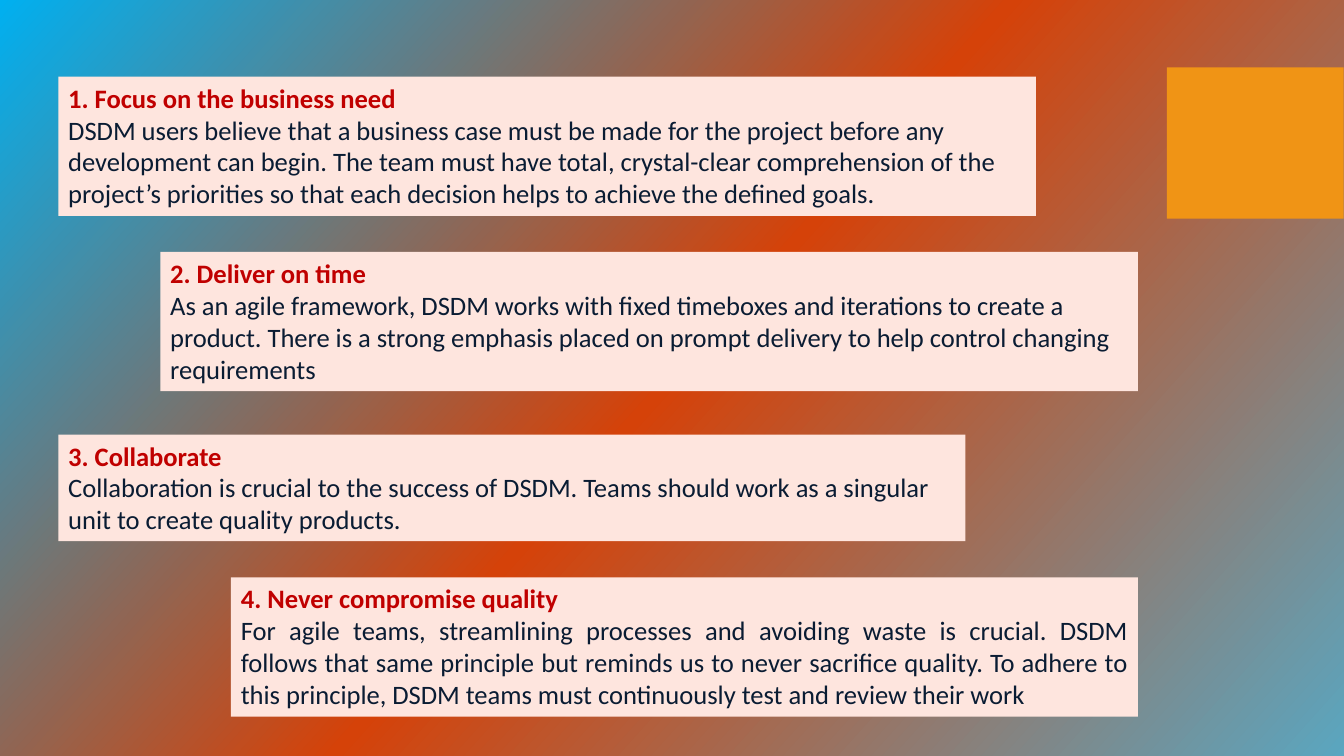
from copy import deepcopy

from pptx import Presentation
from pptx.dml.color import RGBColor
from pptx.enum.shapes import MSO_SHAPE
from pptx.enum.text import MSO_ANCHOR, MSO_AUTO_SIZE, PP_ALIGN
from pptx.util import Cm, Pt

RECTANGLE = MSO_SHAPE.RECTANGLE
TOP = MSO_ANCHOR.TOP
GROW = MSO_AUTO_SIZE.SHAPE_TO_FIT_TEXT
LEFT, JUSTIFY = PP_ALIGN.LEFT, PP_ALIGN.JUSTIFY

BACKGROUND = [(0, "00B0F0"), (0.5, "D54209"), (1, "5AA6C0")]
ACCENT, PANEL, HEADING, BODY = "F09415", "FEE5DE", "C00000", "0A1C33"
LEFT_EDGE, RIGHT_EDGE = 1.47, 28.68
FRAME_FORMAT = {"word_wrap": True, "auto_size": GROW, "vertical_anchor": TOP}
FONT_FORMAT = {"name": "Calibri", "size": Pt(19)}

PRINCIPLES = [
    {"heading": "1. Focus on the business need",
     "body": "DSDM users believe that a business case must be made for the project "
             "before any development can begin. The team must have total, crystal-clear "
             "comprehension of the project’s priorities so that each decision helps to "
             "achieve the defined goals.",
     "top": 1.93, "width": 24.64, "height": 3.51, "align": LEFT},
    {"heading": "2. Deliver on time",
     "body": "As an agile framework, DSDM works with fixed timeboxes and iterations to "
             "create a product. There is a strong emphasis placed on prompt delivery to "
             "help control changing requirements",
     "top": 6.35, "width": 24.64, "height": 3.51, "align": LEFT},
    {"heading": "3. Collaborate",
     "body": "Collaboration is crucial to the success of DSDM. Teams should work as a "
             "singular unit to create quality products.",
     "top": 10.95, "width": 22.86, "height": 2.69, "align": LEFT},
    {"heading": "4. Never compromise quality",
     "body": "For agile teams, streamlining processes and avoiding waste is crucial. DSDM "
             "follows that same principle but reminds us to never sacrifice quality. To "
             "adhere to this principle, DSDM teams must continuously test and review "
             "their work",
     "top": 14.55, "width": 22.86, "height": 3.51, "align": JUSTIFY},
]


def color(value):
    """Return the colour for a hex string."""
    return RGBColor.from_string(value)


def apply_format(target, values):
    """Set each attribute named in values on target."""
    for name, value in values.items():
        setattr(target, name, value)


def paint_background(page):
    """Fill the page with the three-stop diagonal gradient."""
    fill = page.background.fill
    fill.gradient()
    fill.gradient_angle = 360 - 42
    stop_list = page.element.xpath(".//p:bg//a:gsLst")[0]
    stop_list.insert(1, deepcopy(stop_list[0]))
    for stop, (position, value) in zip(fill.gradient_stops, BACKGROUND):
        stop.position = position
        stop.color.rgb = color(value)


def add_block(page, left, top, width, height, fill):
    """Add a plain filled rectangle, measured in centimetres."""
    box = page.shapes.add_shape(RECTANGLE, Cm(left), Cm(top), Cm(width), Cm(height))
    box.shadow.inherit = False
    box.fill.solid()
    box.fill.fore_color.rgb = color(fill)
    box.line.fill.background()
    return box


def write_paragraph(para, text, value, bold, align):
    """Write one formatted span into a paragraph."""
    para.alignment = align
    span = para.add_run()
    span.text = text
    apply_format(span.font, {**FONT_FORMAT, "bold": bold})
    span.font.color.rgb = color(value)


def add_principle(page, left, principle):
    """Add a panel with a heading and its explanation."""
    box = add_block(page, left, principle["top"], principle["width"],
                    principle["height"], PANEL)
    frame = box.text_frame
    apply_format(frame, FRAME_FORMAT)
    align = principle["align"]
    write_paragraph(frame.paragraphs[0], principle["heading"], HEADING, True, align)
    write_paragraph(frame.add_paragraph(), principle["body"], BODY, False, align)


def main():
    """Build and save the deck."""
    deck = Presentation()
    apply_format(deck, {"slide_width": Cm(33.87), "slide_height": Cm(19.05)})
    page = deck.slides.add_slide(deck.slide_layouts[6])
    paint_background(page)
    add_block(page, 29.41, 1.7, 4.45, 3.81, ACCENT)
    for index, principle in enumerate(PRINCIPLES):
        left = RIGHT_EDGE - principle["width"] if index % 2 else LEFT_EDGE
        add_principle(page, left, principle)
    deck.save("out.pptx")


if __name__ == "__main__":
    main()
